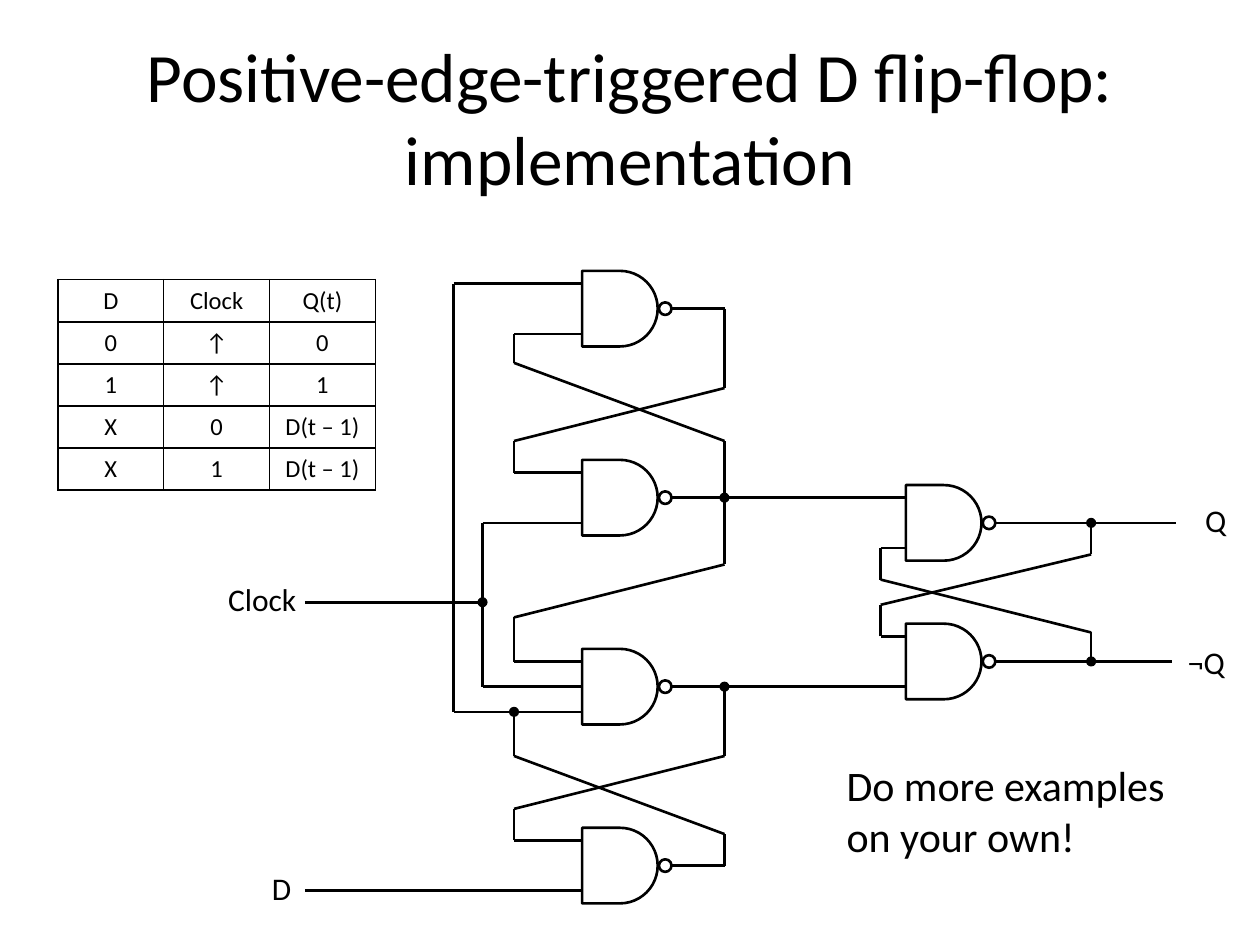
import pptx
import pptx.util
import pptx.dml.color
import pptx.enum.shapes
import pptx.enum.text
import pptx.oxml
import pptx.oxml.ns
import lxml.etree
import itertools

Inches = pptx.util.Inches
Pt = pptx.util.Pt
SHAPE = pptx.enum.shapes.MSO_SHAPE
STRAIGHT = pptx.enum.shapes.MSO_CONNECTOR.STRAIGHT
ALIGN = pptx.enum.text.PP_ALIGN
ANCHOR = pptx.enum.text.MSO_ANCHOR
BLACK = pptx.dml.color.RGBColor(0, 0, 0)
WHITE = pptx.dml.color.RGBColor(255, 255, 255)
FONT = "Calibri"

TEXTS = [
    ("Positive-edge-triggered D flip-flop: implementation",
     (0.5, 0.3, 9, 1.25), 39.6, ALIGN.CENTER, ANCHOR.MIDDLE),
    ("D", (1.97, 6.8, 0.44, 0.5), 18, ALIGN.RIGHT, ANCHOR.MIDDLE),
    ("Clock", (1.17, 4.5, 1.28, 0.5), 18, ALIGN.RIGHT, ANCHOR.MIDDLE),
    ("Q", (9.39, 3.88, 0.44, 0.5), 18, ALIGN.RIGHT, ANCHOR.MIDDLE),
    ("¬Q", (9.33, 5, 0.5, 0.5), 18, ALIGN.LEFT, ANCHOR.MIDDLE),
    ("Do more examples on your own!", (6.62, 5.98, 3.08, 1.27), 24, ALIGN.LEFT, ANCHOR.TOP),
]

TRUTH_TABLE = [
    ("D", "Clock", "Q(t)"),
    ("0", "↑", "0"),
    ("1", "↑", "1"),
    ("X", "0", "D(t – 1)"),
    ("X", "1", "D(t – 1)"),
]

TWO_INPUTS = (-0.2, 0.2)
THREE_INPUTS = (-0.2, 0, 0.2)
GATES = [
    (4.62, 2.45, TWO_INPUTS),
    (4.62, 3.95, TWO_INPUTS),
    (4.62, 5.45, THREE_INPUTS),
    (4.62, 6.87, TWO_INPUTS),
    (7.19, 4.15, TWO_INPUTS),
    (7.19, 5.25, TWO_INPUTS),
]
GATE_SIZE, LEAD, BUBBLE, DOT = 0.6, 0.2, 0.1, 0.07

CLOCK_BUS, CLOCK_NODE, FEEDBACK, OUTPUT = 3.6, 3.83, 4.08, 5.75
GATE_IN, GATE_OUT, LATCH_IN, LATCH_OUT, LATCH_NODE = 4.42, 5.42, 6.99, 7.99, 8.66
WIRES = [
    [(2.42, 7.07), (GATE_IN, 7.07)],
    [(GATE_IN, 6.67), (FEEDBACK, 6.67), (FEEDBACK, 6.42), (OUTPUT, 6), (OUTPUT, 5.45)],
    [(GATE_OUT, 5.45), (LATCH_IN, 5.45)],
    [(GATE_OUT, 6.87), (OUTPUT, 6.87), (OUTPUT, 6.62), (FEEDBACK, 6), (FEEDBACK, 5.65)],
    [(GATE_IN, 5.65), (CLOCK_BUS, 5.65), (CLOCK_BUS, 2.25), (GATE_IN, 2.25)],
    [(GATE_IN, 5.45), (CLOCK_NODE, 5.45), (CLOCK_NODE, 4.15), (GATE_IN, 4.15)],
    [(GATE_OUT, 2.45), (OUTPUT, 2.45), (OUTPUT, 3.08), (FEEDBACK, 3.5),
     (FEEDBACK, 3.75), (GATE_IN, 3.75)],
    [(GATE_IN, 2.65), (FEEDBACK, 2.65), (FEEDBACK, 2.88), (OUTPUT, 3.5), (OUTPUT, 4.48),
     (FEEDBACK, 4.9), (FEEDBACK, 5.25), (GATE_IN, 5.25)],
    [(GATE_OUT, 3.95), (LATCH_IN, 3.95)],
    [(2.42, 4.78), (CLOCK_NODE, 4.78)],
    [(LATCH_IN, 5.05), (LATCH_IN, 4.8), (LATCH_NODE, 4.4), (LATCH_NODE, 4.15)],
    [(LATCH_IN, 4.35), (LATCH_IN, 4.6), (LATCH_NODE, 5.02), (LATCH_NODE, 5.25)],
    [(LATCH_OUT, 4.15), (9.33, 4.15)],
    [(LATCH_OUT, 5.25), (9.3, 5.25)],
]
JUNCTIONS = [
    (CLOCK_NODE, 4.78), (FEEDBACK, 5.65), (OUTPUT, 5.45), (OUTPUT, 3.95),
    (LATCH_NODE, 4.15), (LATCH_NODE, 5.25),
]

deck = pptx.Presentation()
deck.slide_width, deck.slide_height = Inches(10), Inches(7.5)
page = deck.slides.add_slide(deck.slide_layouts[6])


def style_text(para, size, align):
    para.alignment = align
    para.font.name, para.font.size = FONT, Pt(size)
    para.font.color.rgb = BLACK


def add_text(words, place, size, align, anchor):
    frame = page.shapes.add_textbox(*map(Inches, place)).text_frame
    frame.word_wrap = True
    frame.vertical_anchor = anchor
    frame.text = words
    style_text(frame.paragraphs[0], size, align)


def add_wire(start, end):
    wire = page.shapes.add_connector(STRAIGHT, *map(Inches, start + end))
    wire.line.color.rgb, wire.line.width = BLACK, Pt(1.5)
    lxml.etree.SubElement(wire._element.spPr, pptx.oxml.ns.qn("a:effectLst"))


def add_outline(kind, left, middle, size, fill=None, width=1.5):
    shape = page.shapes.add_shape(
        kind, Inches(left), Inches(middle - size / 2), Inches(size), Inches(size))
    shape.shadow.inherit = False
    shape.line.color.rgb, shape.line.width = BLACK, Pt(width)
    if fill is None:
        shape.fill.background()
    else:
        shape.fill.solid()
        shape.fill.fore_color.rgb = fill


def add_gate(left, middle, inputs):
    right = left + GATE_SIZE
    add_outline(SHAPE.FLOWCHART_DELAY, left, middle, GATE_SIZE)
    add_wire((right, middle), (right + LEAD, middle))
    for offset in inputs:
        add_wire((left - LEAD, middle + offset), (left, middle + offset))
    add_outline(SHAPE.OVAL, right + 0.01, middle, BUBBLE, WHITE)


def add_borders(cell):
    for side in ("lnL", "lnR", "lnT", "lnB"):
        cell._tc.get_or_add_tcPr().append(pptx.oxml.parse_xml(
            f'<a:{side} {pptx.oxml.ns.nsdecls("a")} w="{Pt(1)}">'
            f'<a:solidFill><a:srgbClr val="{BLACK}"/></a:solidFill></a:{side}>'))


def add_truth_table(rows, left, top, column_width, row_height):
    columns = len(rows[0])
    table = page.shapes.add_table(
        len(rows), columns, Inches(left), Inches(top),
        Inches(column_width * columns), Inches(row_height * len(rows))).table
    table.first_row = table.horz_banding = False
    for column in table.columns:
        column.width = Inches(column_width)
    for cell, words in zip(table.iter_cells(), itertools.chain(*rows)):
        cell.text = words
        cell.vertical_anchor = ANCHOR.MIDDLE
        style_text(cell.text_frame.paragraphs[0], 14, ALIGN.CENTER)
        add_borders(cell)
        cell.fill.background()


for gate in GATES:
    add_gate(*gate)
for points in WIRES:
    for start, end in zip(points, points[1:]):
        add_wire(start, end)
for x, y in JUNCTIONS:
    add_outline(SHAPE.OVAL, x - DOT / 2, y, DOT, BLACK, 0.75)
for text in TEXTS:
    add_text(*text)
add_truth_table(TRUTH_TABLE, 0.46, 2.22, 0.84, 0.33)

deck.save("out.pptx")
